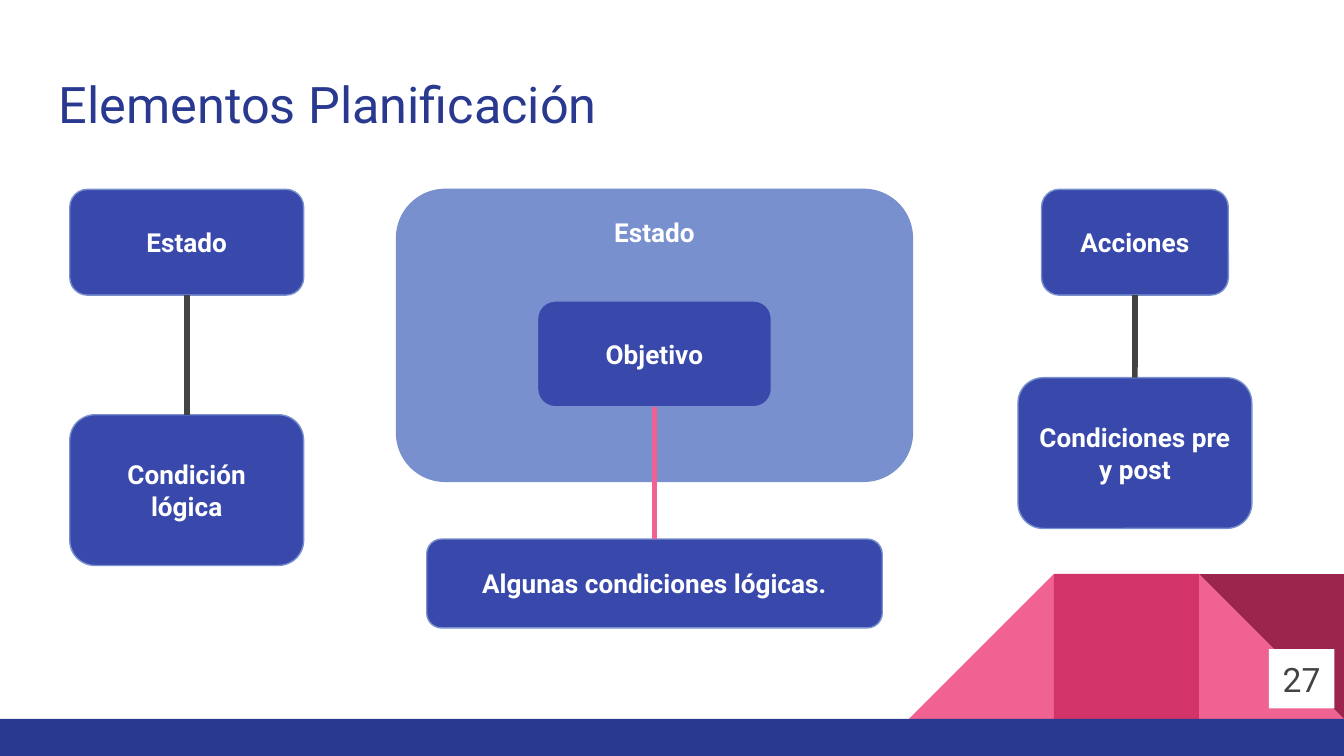
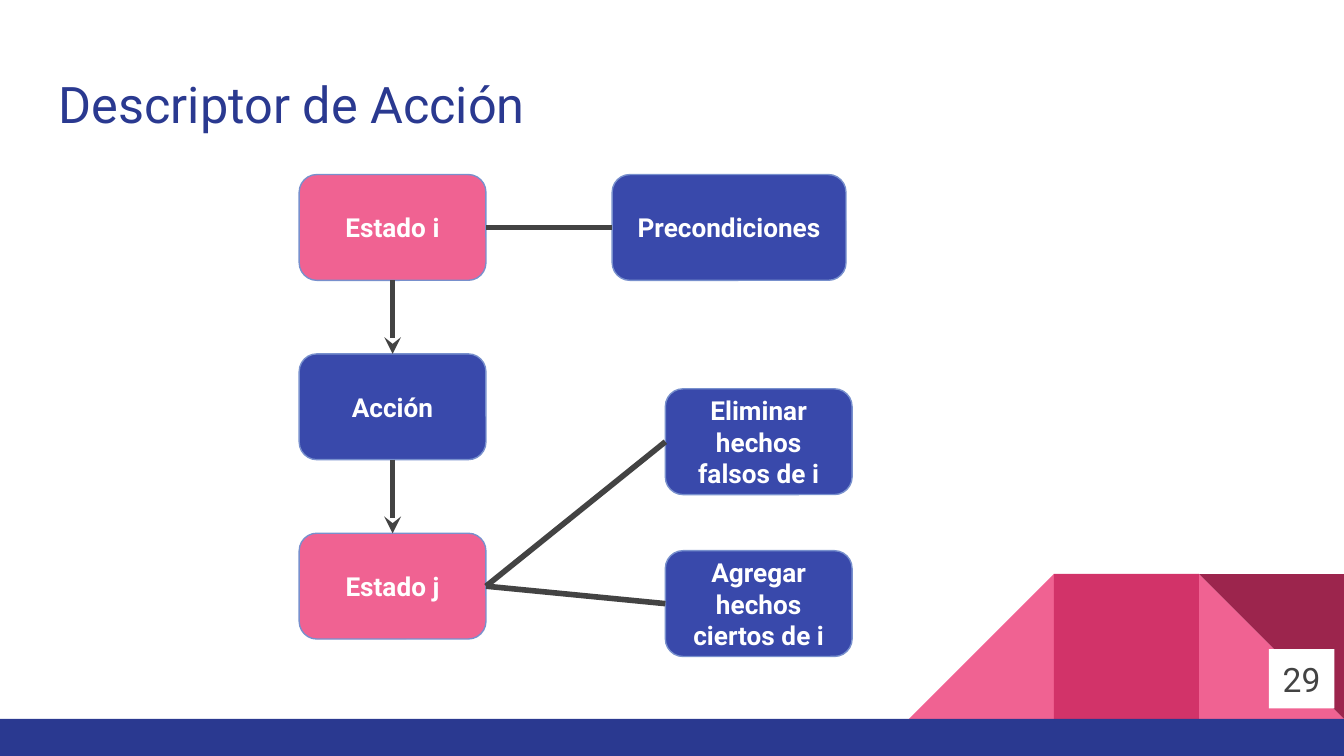
from dataclasses import dataclass

import lxml.etree
import pptx
import pptx.dml.color
import pptx.enum.shapes
import pptx.enum.text
import pptx.oxml.ns
import pptx.shapes.autoshape
import pptx.slide
import pptx.util

Cm = pptx.util.Cm
Pt = pptx.util.Pt
RGBColor = pptx.dml.color.RGBColor
Geometry = pptx.enum.shapes.MSO_SHAPE
Anchor = pptx.enum.text.MSO_ANCHOR
Align = pptx.enum.text.PP_ALIGN
qn = pptx.oxml.ns.qn

# Theme
NAVY = RGBColor(0x2A, 0x39, 0x90)
INDIGO = RGBColor(0x39, 0x49, 0xAB)
PERIWINKLE = RGBColor(0x78, 0x90, 0xCD)
PINK = RGBColor(0xF0, 0x62, 0x92)
CRIMSON = RGBColor(0xD2, 0x33, 0x69)
WINE = RGBColor(0x9C, 0x25, 0x4D)
GREY = RGBColor(0x43, 0x43, 0x43)
WHITE = RGBColor(0xFF, 0xFF, 0xFF)
FONT = "Roboto"

# Measures in centimetres
SLIDE_WIDTH, SLIDE_HEIGHT = 25.4, 14.29
BAND_TOP = 13.59
FACET = 2.74
INSET = 0.25
NARROW, WIDE = 3.53, 4.42
LOW, TALL = 2.0, 2.85

# Connection sites of a rounded rectangle
TOP, LEFT, BOTTOM, RIGHT = range(4)


@dataclass(frozen=True)
class Node:
    text: str
    center: float
    top: float
    width: float = NARROW
    height: float = LOW
    fill: RGBColor = INDIGO
    anchor: Anchor = Anchor.MIDDLE


@dataclass(frozen=True)
class Link:
    start: Node
    end: Node
    start_site: int = BOTTOM
    end_site: int = TOP
    color: RGBColor = GREY
    arrow: bool = False


@dataclass(frozen=True)
class Diagram:
    title: str
    number: int
    nodes: list[Node]
    links: list[Link]


def add_block(slide: pptx.slide.Slide, geometry: Geometry, left: float, top: float,
              width: float, height: float,
              fill: RGBColor) -> pptx.shapes.autoshape.Shape:
    block = slide.shapes.add_shape(geometry, Cm(left), Cm(top), Cm(width), Cm(height))
    block.shadow.inherit = False
    block.fill.solid()
    block.fill.fore_color.rgb = fill
    block.line.fill.background()
    return block


def write(shape: pptx.shapes.autoshape.Shape, text: str, size: int, color: RGBColor,
          bold: bool = False, align: Align = Align.CENTER,
          anchor: Anchor = Anchor.MIDDLE, wrap: bool = True) -> None:
    frame = shape.text_frame
    frame.margin_left = frame.margin_right = Cm(INSET)
    frame.margin_top = frame.margin_bottom = Cm(INSET)
    frame.auto_size = pptx.enum.text.MSO_AUTO_SIZE.NONE
    frame.word_wrap = wrap
    frame.vertical_anchor = anchor
    frame.text = text
    paragraph = frame.paragraphs[0]
    paragraph.alignment = align
    paragraph.font.name = FONT
    paragraph.font.size = Pt(size)
    paragraph.font.bold = bold
    paragraph.font.color.rgb = color


def add_frame(slide: pptx.slide.Slide, title: str) -> None:
    # Faceted corner and bottom band
    facet_top = BAND_TOP - FACET
    left, middle, right = (SLIDE_WIDTH - n * FACET for n in (3, 2, 1))
    add_block(slide, Geometry.RIGHT_TRIANGLE, right, facet_top, FACET, FACET, PINK)
    rising = add_block(slide, Geometry.RIGHT_TRIANGLE, left, facet_top, FACET, FACET, PINK)
    rising.element.spPr.get_or_add_xfrm().set("flipH", "1")
    add_block(slide, Geometry.RECTANGLE, middle, facet_top, FACET, FACET, CRIMSON)
    corner = add_block(slide, Geometry.RIGHT_TRIANGLE, right, facet_top, FACET, FACET, WINE)
    corner.rotation = 180
    add_block(slide, Geometry.RECTANGLE, 0, BAND_TOP, SLIDE_WIDTH,
              SLIDE_HEIGHT - BAND_TOP, NAVY)

    # Title
    heading = slide.shapes.title
    heading.left, heading.top = Cm(0.86), Cm(1.14)
    heading.width, heading.height = Cm(23.67), Cm(1.68)
    write(heading, title, 27, NAVY, align=Align.LEFT, anchor=Anchor.TOP)


def add_node(slide: pptx.slide.Slide, node: Node) -> pptx.shapes.autoshape.Shape:
    box = add_block(slide, Geometry.ROUNDED_RECTANGLE, node.center - node.width / 2,
                    node.top, node.width, node.height, node.fill)
    box.line.color.rgb = PERIWINKLE
    box.line.width = Pt(0.75)
    write(box, node.text, 14, WHITE, bold=True, anchor=node.anchor)
    return box


def add_link(slide: pptx.slide.Slide, link: Link,
             boxes: dict[Node, pptx.shapes.autoshape.Shape]) -> None:
    line = slide.shapes.add_connector(pptx.enum.shapes.MSO_CONNECTOR.STRAIGHT, 0, 0, 0, 0)
    line.begin_connect(boxes[link.start], link.start_site)
    line.end_connect(boxes[link.end], link.end_site)
    line.line.color.rgb = link.color
    line.line.width = Pt(3)
    if link.arrow:
        lxml.etree.SubElement(line.line._get_or_add_ln(), qn("a:tailEnd"), type="stealth")
    lxml.etree.SubElement(line.element.spPr, qn("a:effectLst"))


def add_diagram(deck: pptx.presentation.Presentation, diagram: Diagram) -> None:
    title_only = deck.slide_layouts[5]
    slide = deck.slides.add_slide(title_only)
    add_frame(slide, diagram.title)
    boxes = {node: add_node(slide, node) for node in diagram.nodes}
    for link in diagram.links:
        add_link(slide, link, boxes)
    # Page number
    page = add_block(slide, Geometry.RECTANGLE, 23.98, 12.27, 1.24, 1.12, WHITE)
    write(page, str(diagram.number), 18, GREY, wrap=False)


def planning_elements() -> Diagram:
    state_x, goal_x, action_x, row = 3.53, 12.37, 21.45, 3.58
    actions = Node("Acciones", action_x, row)
    goal_state = Node("Estado", goal_x, row, 9.75, 5.52, PERIWINKLE, Anchor.TOP)
    state = Node("Estado", state_x, row, WIDE)
    condition = Node("Condición lógica", state_x, 7.84, WIDE, TALL)
    pre_post = Node("Condiciones pre y post", action_x, 7.14, WIDE, TALL)
    goal = Node("Objetivo", goal_x, 5.69, WIDE)
    goal_conditions = Node("Algunas condiciones lógicas.", goal_x, 10.19, 8.61, 1.68)
    return Diagram(
        "Elementos Planificación", 27,
        [actions, goal_state, state, condition, pre_post, goal, goal_conditions],
        [Link(state, condition), Link(actions, pre_post),
         Link(goal, goal_conditions, color=PINK)])


def action_descriptor() -> Diagram:
    flow_x, effect_x, row, step = 7.42, 14.34, 3.3, 3.39
    add_facts = Node("Agregar hechos ciertos de i", effect_x, 10.41)
    remove_facts = Node("Eliminar hechos falsos de i", effect_x, 7.35)
    preconditions = Node("Precondiciones", 13.78, row, WIDE)
    state_i, action, state_j = (
        Node(text, flow_x, row + index * step, fill=fill)
        for index, (text, fill) in enumerate(
            [("Estado i", PINK), ("Acción", INDIGO), ("Estado j", PINK)]))
    return Diagram(
        "Descriptor de Acción", 29,
        [add_facts, remove_facts, preconditions, state_i, action, state_j],
        [Link(state_i, action, arrow=True),
         Link(state_i, preconditions, RIGHT, LEFT),
         Link(action, state_j, arrow=True),
         Link(state_j, remove_facts, RIGHT, LEFT),
         Link(state_j, add_facts, RIGHT, LEFT)])


def main() -> None:
    deck = pptx.Presentation()
    deck.slide_width, deck.slide_height = Cm(SLIDE_WIDTH), Cm(SLIDE_HEIGHT)
    for diagram in (planning_elements(), action_descriptor()):
        add_diagram(deck, diagram)
    deck.save("out.pptx")


if __name__ == "__main__":
    main()
